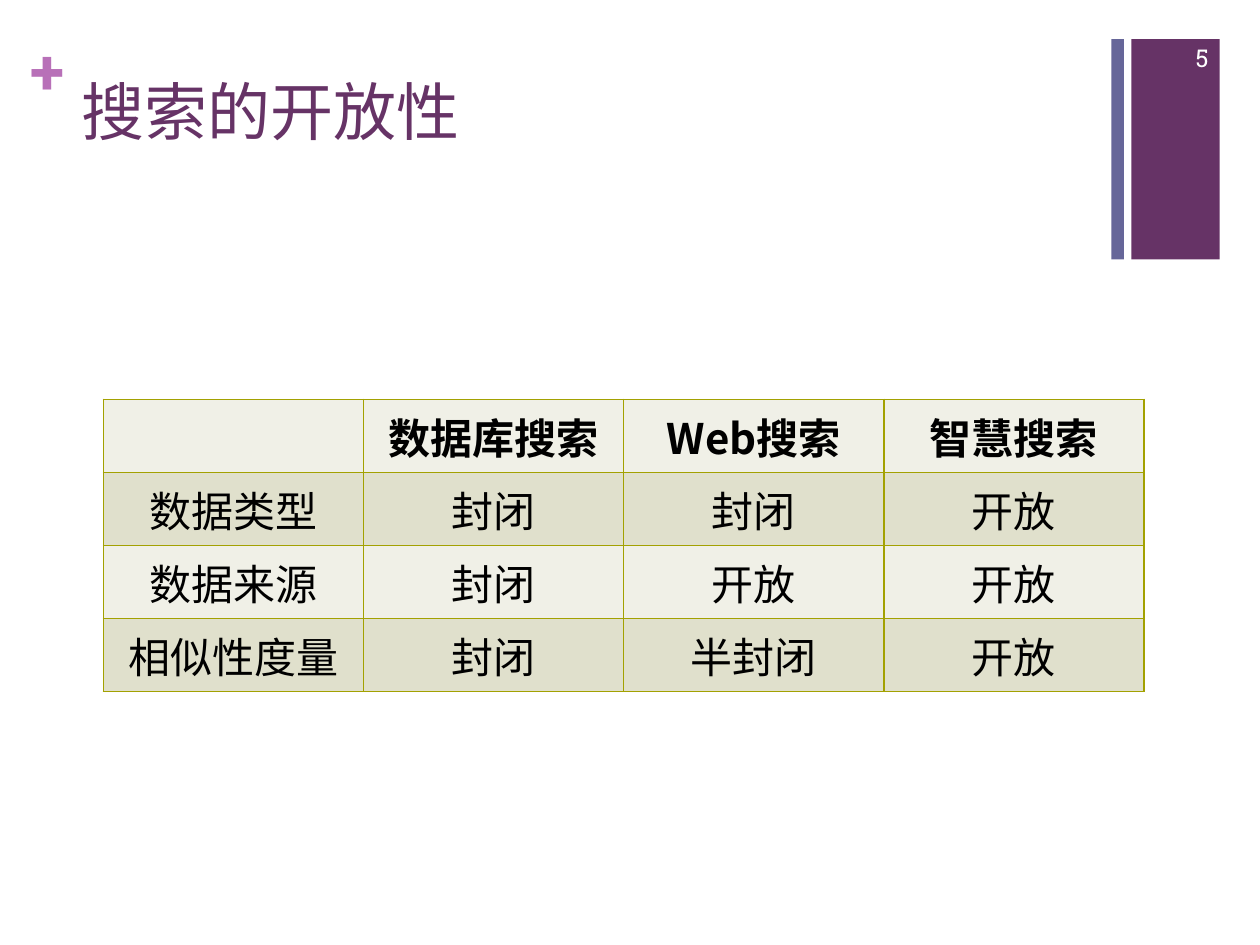
from lxml import etree
from pptx import Presentation
from pptx.dml.color import RGBColor
from pptx.enum.shapes import MSO_SHAPE
from pptx.enum.text import MSO_ANCHOR, PP_ALIGN
from pptx.oxml.ns import qn
from pptx.util import Inches, Pt

# Content
TITLE = "搜索的开放性"
PAGE_NUMBER = "5"
ROWS = [
    ["", "数据库搜索", "Web搜索", "智慧搜索"],
    ["数据类型", "封闭", "封闭", "开放"],
    ["数据来源", "封闭", "开放", "开放"],
    ["相似性度量", "封闭", "半封闭", "开放"],
]

# Formats
SANS, SLAB = "Noto Sans CJK SC", "Roboto Slab"
PURPLE, BLUE, ORCHID, OLIVE = "663366", "666699", "B870B8", "A3A101"
ROW_FILLS = ["F0F0E7", "E0E0CC"]
BARS = [((8.98, 0.31, 0.7, 1.75), PURPLE), ((8.82, 0.31, 0.1, 1.75), BLUE)]
TITLE_FONT = {"size": Pt(36), "name": SANS, "bold": False}
PLUS_FONT = {"size": Pt(36), "name": SLAB, "bold": True}
NUMBER_FONT = {"size": Pt(14), "name": SLAB, "bold": False}
CELL_FONT = {"size": Pt(24), "name": SANS, "bold": False}
HEADER_FONT = {**CELL_FONT, "bold": True}
NO_MARGINS = dict.fromkeys(
    ["margin_left", "margin_top", "margin_right", "margin_bottom"], 0)
TABLE_LEFT, TABLE_TOP, TABLE_WIDTH, ROW_HEIGHT = 0.82, 3.17, 8.26, 0.58


def color(value):
    return RGBColor.from_string(value)


def set_values(target, values):
    for name, value in values.items():
        setattr(target, name, value)


def write(frame, text, font, text_color, align=PP_ALIGN.LEFT):
    para = frame.paragraphs[0]
    para.alignment = align
    span = para.add_run()
    span.text = text
    set_values(span.font, font)
    span.font.color.rgb = color(text_color)
    # East Asian letters take their own typeface entry
    properties = span.font._element
    etree.SubElement(properties, qn("a:ea"), typeface=font["name"])


def add_text(page, place, text, font, text_color, align=PP_ALIGN.LEFT, **frame_values):
    box = page.shapes.add_textbox(*map(Inches, place))
    box.text_frame.word_wrap = True
    set_values(box.text_frame, frame_values)
    write(box.text_frame, text, font, text_color, align)


def add_borders(cell):
    properties = cell._tc.get_or_add_tcPr()
    for position, side in enumerate(["a:lnL", "a:lnR", "a:lnT", "a:lnB"]):
        line = etree.Element(qn(side), w=str(Pt(1)))
        fill = etree.SubElement(line, qn("a:solidFill"))
        etree.SubElement(fill, qn("a:srgbClr"), val=OLIVE)
        properties.insert(position, line)


def add_table(page):
    count = len(ROWS[0])
    table = page.shapes.add_table(
        len(ROWS), count, Inches(TABLE_LEFT), Inches(TABLE_TOP),
        Inches(TABLE_WIDTH), Inches(ROW_HEIGHT * len(ROWS))).table
    for column in table.columns:
        column.width = Inches(TABLE_WIDTH / count)
    for row_index, texts in enumerate(ROWS):
        for column_index, text in enumerate(texts):
            cell = table.cell(row_index, column_index)
            cell.fill.solid()
            cell.fill.fore_color.rgb = color(ROW_FILLS[row_index % 2])
            add_borders(cell)
            if text:
                font = CELL_FONT if row_index else HEADER_FONT
                write(cell.text_frame, text, font, "000000", PP_ALIGN.CENTER)


def main():
    deck = Presentation()
    deck.slide_width, deck.slide_height = Inches(10), Inches(7.5)
    page = deck.slides.add_slide(deck.slide_layouts[6])

    # Corner bars
    for place, fill in BARS:
        bar = page.shapes.add_shape(MSO_SHAPE.RECTANGLE, *map(Inches, place))
        bar.shadow.inherit = False
        bar.fill.solid()
        bar.fill.fore_color.rgb = color(fill)
        bar.line.fill.background()

    # Heading and page number
    add_text(page, (0.24, 0.25, 0.29, 0.61), "+", PLUS_FONT, ORCHID, **NO_MARGINS)
    add_text(page, (0.55, 0.53, 8.26, 1.22), TITLE, TITLE_FONT, PURPLE)
    add_text(page, (9.08, 0.26, 0.61, 0.4), PAGE_NUMBER, NUMBER_FONT, "FFFFFF",
             PP_ALIGN.RIGHT, vertical_anchor=MSO_ANCHOR.MIDDLE)

    # Comparison table
    add_table(page)
    deck.save("out.pptx")


if __name__ == "__main__":
    main()
